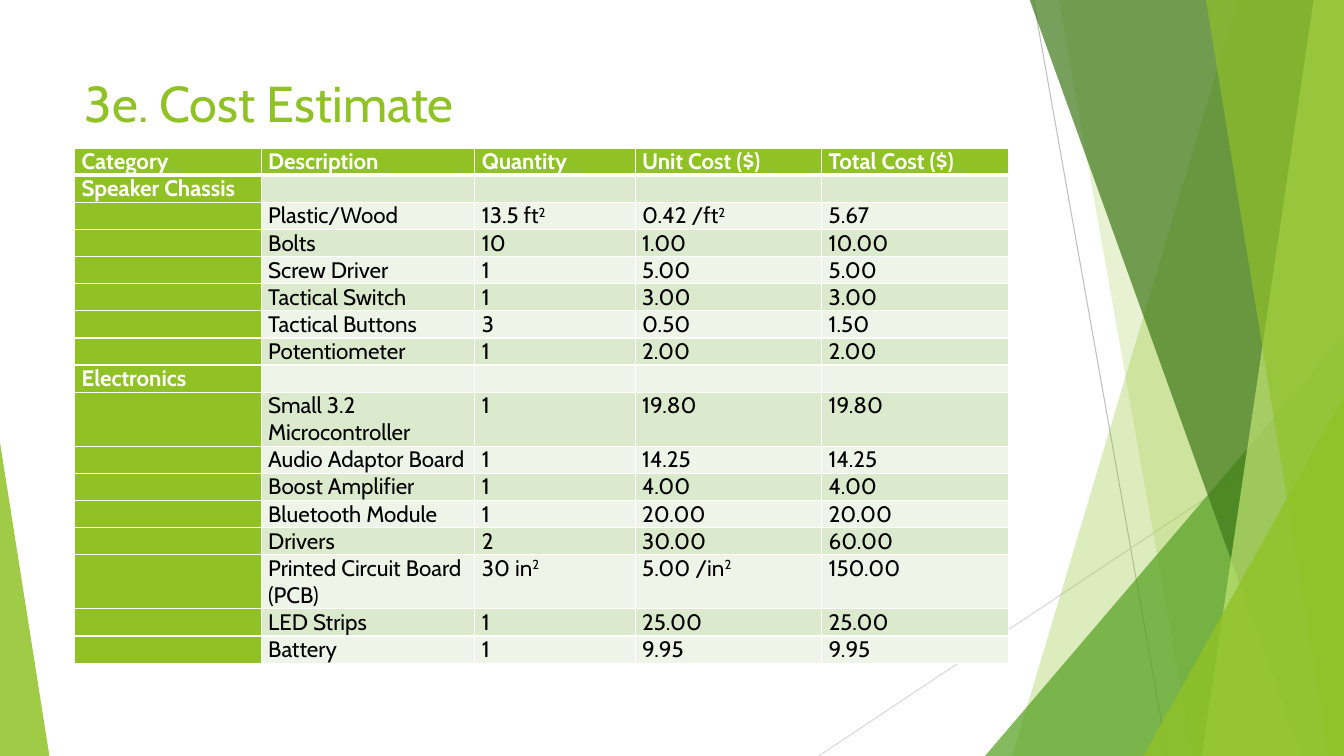
from lxml import etree
from pptx import Presentation
from pptx.dml.color import RGBColor
from pptx.enum.shapes import MSO_CONNECTOR, MSO_SHAPE
from pptx.enum.text import MSO_ANCHOR, PP_ALIGN
from pptx.oxml.ns import qn
from pptx.util import Inches, Pt

STRAIGHT = MSO_CONNECTOR.STRAIGHT
TRIANGLE = MSO_SHAPE.ISOSCELES_TRIANGLE
TOP, LEFT = MSO_ANCHOR.TOP, PP_ALIGN.LEFT

FONT = "Cabin"
GREEN, WHITE, BLACK = "90C226", "FFFFFF", "000000"
BANDS = ("DBE9CD", "EEF4E8")
WIDTH, HEIGHT = 13.33, 7.5

TITLE = "3e. Cost Estimate"
HEADER = ("Category", "Description", "Quantity", "Unit Cost ($)", "Total Cost ($)")
# A caret marks the start of a superscript.
COSTS = {
    "Speaker Chassis": [
        ("Plastic/Wood", "13.5 ft^2", "0.42 /ft^2", "5.67"),
        ("Bolts", "10", "1.00", "10.00"),
        ("Screw Driver", "1", "5.00", "5.00"),
        ("Tactical Switch", "1", "3.00", "3.00"),
        ("Tactical Buttons", "3", "0.50", "1.50"),
        ("Potentiometer", "1", "2.00", "2.00"),
    ],
    "Electronics": [
        ("Small 3.2 Microcontroller", "1", "19.80", "19.80"),
        ("Audio Adaptor Board", "1", "14.25", "14.25"),
        ("Boost Amplifier", "1", "4.00", "4.00"),
        ("Bluetooth Module", "1", "20.00", "20.00"),
        ("Drivers", "2", "30.00", "60.00"),
        ("Printed Circuit Board (PCB)", "30 in^2", "5.00 /in^2", "150.00"),
        ("LED Strips", "1", "25.00", "25.00"),
        ("Battery", "1", "9.95", "9.95"),
    ],
}
COLUMN_WIDTHS = (1.85, 2.12, 1.59, 1.85, 1.85)
ROW_HEIGHT, TALL_ROW_HEIGHT = 0.25, 0.51
LONGEST_LINE = 20  # characters that fit on one line of a description

# Lines: start, end, colour
LINES = [((10.25, 0), (11.58, HEIGHT), "BFBFBF"),
         ((WIDTH, 4.03), (8.12, HEIGHT), "D9D9D9")]
# Shards run to the right edge: top-left x, bottom-left x, colour, opacity
# Triangles: left, top, width, height, apex, colour, opacity
DECORATION = [
    (12.28, 10.04, GREEN, 30),
    (10.5, 11.83, GREEN, 20),
    (9.77, 3.33, 3.56, 4.17, 1, "54A021", 72),
    (10.21, 12.91, "3F7819", 70),
    (13.03, 11.92, "C0E474", 70),
    (11.96, 13.18, GREEN, 65),
    (11.34, 3.93, 1.99, 3.57, 1, GREEN, 80),
    (0, 4.39, 0.49, 3.11, 0, GREEN, 85),
]


def paint(target, color):
    """Give a fill one solid colour."""
    target.solid()
    target.fore_color.rgb = RGBColor.from_string(color)


def format_span(span, size, color, bold=False):
    span.font.name = FONT
    span.font.size = Pt(size)
    span.font.bold = bold
    span.font.color.rgb = RGBColor.from_string(color)


def add_line(slide, start, end, color):
    line = slide.shapes.add_connector(STRAIGHT, *map(Inches, start + end))
    line.line.color.rgb = RGBColor.from_string(color)
    line.line.width = Pt(0.75)
    etree.SubElement(line._element.spPr, qn("a:effectLst"))


def add_shard(slide, top_x, bottom_x):
    corners = [(top_x, -0.01), (WIDTH, -0.01), (WIDTH, HEIGHT), (bottom_x, HEIGHT)]
    points = [(Inches(x), Inches(y)) for x, y in corners]
    builder = slide.shapes.build_freeform(*points[0])
    builder.add_line_segments(points[1:], close=True)
    return builder.convert_to_shape()


def add_triangle(slide, left, top, width, height, apex):
    shape = slide.shapes.add_shape(TRIANGLE, *map(Inches, (left, top, width, height)))
    shape.adjustments[0] = apex
    return shape


def add_decoration(slide):
    for line in LINES:
        add_line(slide, *line)
    for *geometry, color, opacity in DECORATION:
        add = add_shard if len(geometry) == 2 else add_triangle
        shape = add(slide, *geometry)
        shape.shadow.inherit = False
        shape.line.fill.background()
        paint(shape.fill, color)
        tint = shape._element.spPr.find(".//" + qn("a:srgbClr"))
        etree.SubElement(tint, qn("a:alpha"), val=str(opacity * 1000))


def set_borders(cell, widths):
    """Draw white borders; widths are points for left, right, top and bottom."""
    properties = cell._tc.get_or_add_tcPr()
    for index, (side, width) in enumerate(zip("LRTB", widths)):
        border = etree.Element(qn("a:ln" + side), w=str(Pt(width)))
        fill = etree.SubElement(border, qn("a:solidFill"))
        etree.SubElement(fill, qn("a:srgbClr"), val=WHITE)
        properties.insert(index, border)


def fill_cell(cell, text, background, color, bold):
    cell.margin_left = cell.margin_right = Inches(0.07)
    cell.margin_top = cell.margin_bottom = 0
    paint(cell.fill, background)
    para = cell.text_frame.paragraphs[0]
    if not text:
        end = etree.SubElement(para._p, qn("a:endParaRPr"), sz="1600")
        etree.SubElement(end, qn("a:latin"), typeface=FONT)
        return
    for index, part in enumerate(text.split("^")):
        span = para.add_run()
        span.text = part
        format_span(span, 16, color, bold)
        if index:
            span.font._element.set("baseline", "30000")


def add_cost_table(slide):
    rows = [HEADER]
    for category, items in COSTS.items():
        rows.append((category, "", "", "", ""))
        rows += [("",) + item for item in items]
    heights = [TALL_ROW_HEIGHT if len(row[1]) > LONGEST_LINE else ROW_HEIGHT
               for row in rows]
    frame = slide.shapes.add_table(
        len(rows), len(HEADER), Inches(0.74), Inches(1.47),
        Inches(sum(COLUMN_WIDTHS)), Inches(sum(heights)))
    table = frame.table
    for column, width in zip(table.columns, COLUMN_WIDTHS):
        column.width = Inches(width)
    for r, (row, height) in enumerate(zip(rows, heights)):
        table.rows[r].height = Inches(height)
        for c, text in enumerate(row):
            heading = r == 0 or c == 0
            cell = table.cell(r, c)
            fill_cell(cell, text, GREEN if heading else BANDS[(r - 1) % 2],
                      WHITE if heading else BLACK, heading)
            set_borders(cell, (1, 1, 3 if r == 1 else 1, 3 if r == 0 else 1))


def add_title(slide):
    title = slide.shapes.title
    title.left, title.top = Inches(0.74), Inches(0.67)
    title.width, title.height = Inches(9.4), Inches(1.44)
    title.text_frame.text = TITLE
    title.text_frame.vertical_anchor = TOP
    para = title.text_frame.paragraphs[0]
    para.alignment = LEFT
    format_span(para.runs[0], 36, GREEN)


def main():
    deck = Presentation()
    deck.slide_width, deck.slide_height = Inches(WIDTH), Inches(HEIGHT)
    slide = deck.slides.add_slide(deck.slide_layouts[5])
    add_decoration(slide)
    add_title(slide)
    add_cost_table(slide)
    deck.save("out.pptx")


if __name__ == "__main__":
    main()
